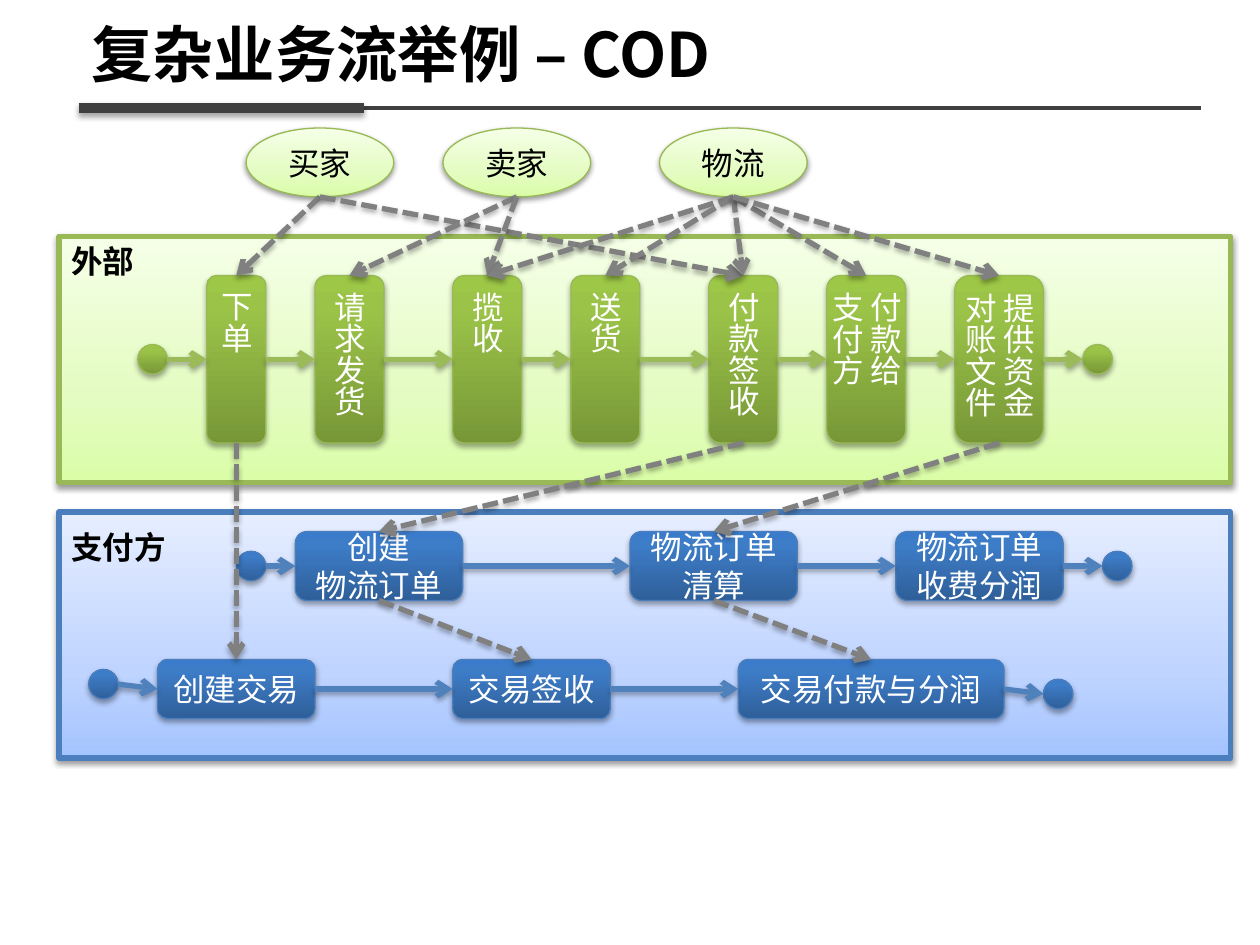
"""Build the cash-on-delivery flow slide with two swimlanes."""
from lxml import etree
from pptx import Presentation
from pptx.dml.color import RGBColor
from pptx.enum.dml import MSO_LINE
from pptx.enum.shapes import MSO_CONNECTOR, MSO_SHAPE
from pptx.enum.text import MSO_ANCHOR, PP_ALIGN
from pptx.oxml.ns import qn
from pptx.util import Inches, Pt

RECTANGLE = MSO_SHAPE.RECTANGLE
ROUNDED = MSO_SHAPE.ROUNDED_RECTANGLE
OVAL = MSO_SHAPE.OVAL
STRAIGHT, ELBOW = MSO_CONNECTOR.STRAIGHT, MSO_CONNECTOR.ELBOW
DASH = MSO_LINE.SQUARE_DOT
MIDDLE = MSO_ANCHOR.MIDDLE
LEFT_ALIGN, CENTER = PP_ALIGN.LEFT, PP_ALIGN.CENTER
TOP, LEFT, BOTTOM, RIGHT = range(4)

FONT = "Noto Sans CJK SC"
WIDTH, HEIGHT = Inches(10), Inches(7.5)
UNIT = WIDTH / 128

COLORS = {
    "black": "000000", "white": "FFFFFF", "rule": "404040", "link": "808080",
    "green_edge": "98B955", "green_arrow": "9BBB59",
    "blue_edge": "4B7EBC", "blue_arrow": "4F81BD",
}
GRADIENTS = {
    "green_pale": [(0, "DAFDA7"), (35, "E4FCC2"), (100, "F5FFE7")],
    "blue_pale": [(0, "A4C4FF"), (35, "BFD4FF"), (100, "E6EEFF")],
    "green": [(0, "779737"), (80, "9BC348"), (100, "9DC746")],
    "blue": [(0, "2F5F99"), (80, "3D7CC7"), (100, "3A7CCB")],
}

ROLES = [("买家", 25), ("卖家", 45), ("物流", 67)]
EXTERNAL_STEPS = [
    ("下单", 21, 6), ("请求发货", 32, 7), ("揽收", 46, 7), ("送货", 58, 7),
    ("付款签收", 72, 7), ("付款给\n支付方", 84, 8), ("提供资金对账文件", 97, 9),
]
ROLE_LINKS = [(0, 0), (0, 4), (1, 1), (1, 2), (2, 2), (2, 3), (2, 4), (2, 5), (2, 6)]
ORDER_STEPS = [("创建\n物流订单", 30, 17), ("物流订单清算", 64, 17), ("物流订单\n收费分润", 91, 17)]
TRADE_STEPS = [("创建交易", 16, 16), ("交易签收", 46, 16), ("交易付款与分润", 75, 27)]


def grid(*values):
    """Convert grid units to whole lengths."""
    return [round(value * UNIT) for value in values]


def rgb(name):
    """Look up a named colour."""
    return RGBColor.from_string(COLORS[name])


def format_text(text_frame, text, color, size=18, bold=False, align=CENTER):
    """Fill a text frame and format its runs."""
    text_frame.text = text
    for paragraph in text_frame.paragraphs:
        paragraph.alignment = align
        for run in paragraph.runs:
            run.font.name = FONT
            run.font.size = Pt(size)
            run.font.bold = bold
            run.font.color.rgb = rgb(color)
            etree.SubElement(run.font._element, qn("a:ea"), typeface=FONT)


def add_effects(shape, opacity=None):
    """Give a shape a soft drop shadow, or none without an opacity."""
    effects = etree.SubElement(shape._element.spPr, qn("a:effectLst"))
    if opacity:
        distance = "20000" if opacity == 38 else "23000"
        shadow = etree.SubElement(effects, qn("a:outerShdw"), blurRad="40000",
                                  dist=distance, dir="5400000", rotWithShape="0")
        color = etree.SubElement(shadow, qn("a:srgbClr"), val=COLORS["black"])
        etree.SubElement(color, qn("a:alpha"), val=str(opacity * 1000))


def fill_gradient(shape, stops):
    """Fill a shape with a gradient that rises from its bottom edge."""
    shape.fill.gradient()
    shape.fill.gradient_angle = 90
    stop_list = shape._element.spPr.find(".//" + qn("a:gsLst"))
    for stop in list(stop_list):
        stop_list.remove(stop)
    for position, color in stops:
        stop = etree.SubElement(stop_list, qn("a:gs"), pos=str(position * 1000))
        etree.SubElement(stop, qn("a:srgbClr"), val=color)


def add_node(slide, kind, box, palette, text="", vertical=False, line_width=0.75):
    """Add a gradient shape with a shadow and optional centred text."""
    shape = slide.shapes.add_shape(kind, *grid(*box))
    pale = palette.endswith("pale")
    fill_gradient(shape, GRADIENTS[palette])
    shape.line.color.rgb = rgb(palette.split("_")[0] + "_edge")
    shape.line.width = Pt(line_width)
    add_effects(shape, 38 if pale else 35)
    if text:
        frame = shape.text_frame
        frame.vertical_anchor = MIDDLE
        frame.word_wrap = True
        format_text(frame, text, "black" if pale else "white")
        if vertical:
            frame._txBody.bodyPr.set("vert", "eaVert")
    return shape


def add_line(slide, ends, color, width=3, kind=STRAIGHT, opacity=35):
    """Add a coloured line between two points."""
    connector = slide.shapes.add_connector(kind, *ends)
    connector.line.color.rgb = rgb(color)
    connector.line.width = Pt(width)
    add_effects(connector, opacity)
    return connector


def side_point(shape, side):
    """Return the middle of one side of a shape."""
    across = {LEFT: 0, RIGHT: 1}.get(side, 0.5)
    down = {TOP: 0, BOTTOM: 1}.get(side, 0.5)
    return round(shape.left + across * shape.width), round(shape.top + down * shape.height)


def add_arrow(slide, start, end, color, sides=(RIGHT, LEFT), kind=STRAIGHT):
    """Join two shapes with an arrow, dashed when it links lanes."""
    ends = side_point(start, sides[0]) + side_point(end, sides[1])
    connector = add_line(slide, ends, color, kind=kind)
    if color == "link":
        connector.line.dash_style = DASH
    outline = connector._element.spPr.find(qn("a:ln"))
    etree.SubElement(outline, qn("a:tailEnd"), type="arrow")
    if start.auto_shape_type == ROUNDED:
        connector.begin_connect(start, sides[0])
    if end.auto_shape_type == ROUNDED:
        connector.end_connect(end, sides[1])


def add_flow(slide, steps, top, height, dots, palette, kind=STRAIGHT, vertical=False):
    """Add a row of steps between a start and an end dot, and return the steps."""
    nodes = [add_node(slide, ROUNDED, (left, top, width, height), palette, text, vertical)
             for text, left, width in steps]
    first, last = [add_node(slide, OVAL, (*dot, 3, 3), palette) for dot in dots]
    chain = [first, *nodes, last]
    for start, end in zip(chain, chain[1:]):
        add_arrow(slide, start, end, palette + "_arrow", kind=kind)
    return nodes


def add_lane(slide, top, palette, label, label_top):
    """Add a swimlane panel with its bold label."""
    add_node(slide, RECTANGLE, (6, top, 119, 25), palette, line_width=3)
    box = slide.shapes.add_textbox(*grid(6, label_top, 4 + 3.2 * len(label), 5.12))
    box.text_frame.word_wrap = False
    format_text(box.text_frame, label, "black", bold=True, align=LEFT_ALIGN)


def add_title(slide, text):
    """Place the title and the two rules under it."""
    title = slide.shapes.title
    title.left, title.top, title.width, title.height = grid(8, 1.8, 113.7, 8.2)
    title.text_frame.vertical_anchor = MIDDLE
    format_text(title.text_frame, text, "black", 35.1, True, LEFT_ALIGN)
    title.text_frame.paragraphs[0].line_spacing = 0.9
    add_line(slide, grid(8, 11, 122, 11), "rule", 2.25, opacity=None)
    add_line(slide, grid(8, 11, 37, 11), "rule", 6)


def main():
    """Build and save the slide."""
    presentation = Presentation()
    presentation.slide_width, presentation.slide_height = WIDTH, HEIGHT
    slide = presentation.slides.add_slide(presentation.slide_layouts[5])
    add_title(slide, "复杂业务流举例 – COD")
    add_lane(slide, 24, "green_pale", "外部", 24)
    add_lane(slide, 52, "blue_pale", "支付方", 53)
    roles = [add_node(slide, OVAL, (left, 13, 15, 7), "green_pale", text)
             for text, left in ROLES]
    external = add_flow(slide, EXTERNAL_STEPS, 28, 17, [(14, 35), (110, 35)],
                        "green", ELBOW, True)
    orders = add_flow(slide, ORDER_STEPS, 54, 7, [(24, 56), (112, 56)], "blue")
    trades = add_flow(slide, TRADE_STEPS, 67, 6, [(9, 68), (106, 69)], "blue")
    links = [(roles[role], external[step]) for role, step in ROLE_LINKS]
    links += [(external[0], trades[0]), (external[4], orders[0]), (external[6], orders[1]),
              (orders[0], trades[1]), (orders[1], trades[2])]
    for start, end in links:
        add_arrow(slide, start, end, "link", (BOTTOM, TOP))
    presentation.save("out.pptx")


if __name__ == "__main__":
    main()
